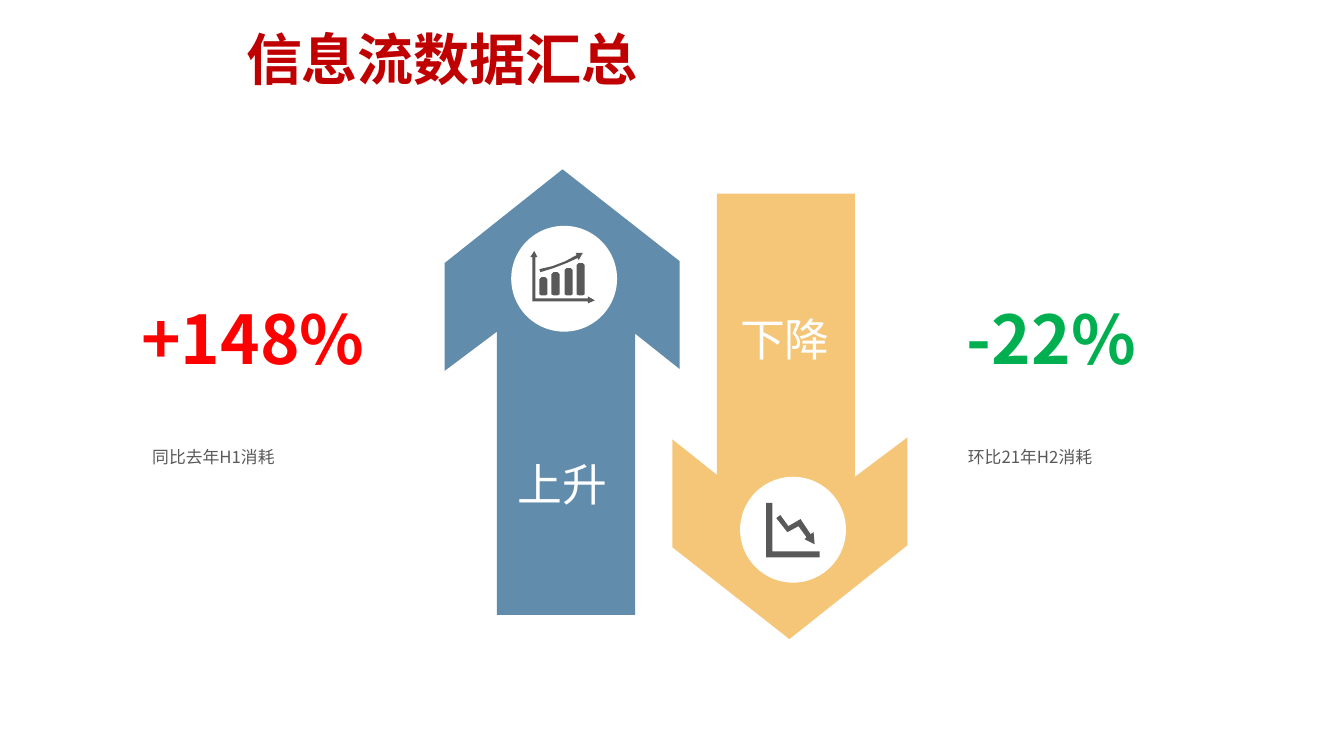
from dataclasses import dataclass

from pptx import Presentation
from pptx.dml.color import RGBColor
from pptx.enum.shapes import MSO_SHAPE
from pptx.enum.text import MSO_ANCHOR, MSO_AUTO_SIZE, PP_ALIGN

PX = 9144  # 100 px to the inch
OVAL = MSO_SHAPE.OVAL
TOP, MIDDLE = MSO_ANCHOR.TOP, MSO_ANCHOR.MIDDLE
LEFT, CENTER = PP_ALIGN.LEFT, PP_ALIGN.CENTER
GROW, FIXED = MSO_AUTO_SIZE.SHAPE_TO_FIT_TEXT, MSO_AUTO_SIZE.NONE


@dataclass(frozen=True)
class Theme:
    font: str = "Noto Sans CJK SC"
    title: str = "C00000"
    rise: str = "618CAC"
    fall: str = "F6C678"
    white: str = "FFFFFF"
    grey: str = "595959"
    gain: str = "FF0000"
    loss: str = "00B050"
    title_pt: int = 40
    figure_pt: int = 48
    label_pt: int = 32
    note_pt: int = 12


T = Theme()


def paint(sp, color):
    sp.shadow.inherit = False
    sp.fill.solid()
    sp.fill.fore_color.rgb = RGBColor.from_string(color)
    sp.line.fill.background()


def write(sp, text, size, color, bold=False, align=LEFT, spacing=1.0):
    """Fill a text holder with one styled run."""
    tf = sp.text_frame
    tf.word_wrap = True
    p = tf.paragraphs[0]
    p.alignment = align
    p.line_spacing = spacing
    r = p.add_run()
    r.text = text
    r.font.name = T.font
    r.font.size = size * 12700
    r.font.bold = bold
    r.font.color.rgb = RGBColor.from_string(color)
    # East Asian glyphs take their face from a:ea
    r.font._element.get_or_add_latin().addnext(
        r.font._element.makeelement(
            "{http://schemas.openxmlformats.org/drawingml/2006/main}ea",
            {"typeface": T.font}))


prs = Presentation()
prs.slide_width, prs.slide_height = 1333 * PX, 750 * PX
s = prs.slides.add_slide(prs.slide_layouts[5])

title = s.shapes.title
title.left, title.top, title.width, title.height = (
    v * PX for v in (234, 27, 981, 96))
title.text_frame.vertical_anchor = TOP
title.text_frame.auto_size = FIXED
write(title, "信息流数据汇总", T.title_pt, T.title, bold=True, spacing=0.9)

# The falling arrow is the rising one turned by half a circle
rise_arrow = [(674, 259), (558, 168), (441, 261), (441, 368), (493, 329),
              (493, 610), (630, 610), (630, 331), (674, 366)]
fall_arrow = [(1341 - x, 802 - y) for x, y in rise_arrow]

# Rising bars, trend curve and axes
bars = []
for x, top in zip((535, 547, 560, 572), (275, 270, 266, 261)):
    bars.append([(x, top + 2), (x + 2, top), (x + 6, top), (x + 8, top + 2),
                 (x + 8, 292), (x + 6, 293), (x + 2, 293), (x, 292)])
trend = [(536, 270), (549, 266), (562, 261), (573, 256), (574, 258),
         (578, 251), (571, 251), (572, 253), (561, 259), (548, 264),
         (535, 267)]
axes = [(590, 298), (583, 294), (583, 296), (531, 296), (531, 255),
        (533, 255), (530, 249), (526, 255), (528, 255), (528, 299),
        (583, 299), (583, 301)]
rise_icon = bars + [trend, axes]

fall_icon = [
    [(774, 511), (782, 522), (794, 515), (804, 530), (807, 528), (808, 540),
     (798, 535), (800, 533), (792, 522), (781, 528), (770, 514)],
    [(760, 499), (766, 499), (766, 547), (813, 547), (813, 553), (760, 553)],
]

for arrow, color, disc, icon in (
        ([rise_arrow], T.rise, (507, 224), rise_icon),
        ([fall_arrow], T.fall, (734, 473), fall_icon)):
    for outlines, fill in ((arrow, color), (icon, T.grey)):
        if outlines is icon:
            x, y = disc
            paint(s.shapes.add_shape(OVAL, x * PX, y * PX, 105 * PX, 105 * PX),
                  T.white)
        fb = s.shapes.build_freeform(*outlines[0][0], scale=PX)
        fb.add_line_segments(outlines[0][1:], close=True)
        for outline in outlines[1:]:
            fb.move_to(*outline[0])
            fb.add_line_segments(outline[1:], close=True)
        paint(fb.convert_to_shape(), fill)

for box, text, size, color, bold, align, spacing in (
        ((151, 433, 235, 30), "同比去年H1消耗", T.note_pt, T.grey, False, LEFT, 1.5),
        ((140, 294, 251, 81), "+148%", T.figure_pt, T.gain, True, LEFT, 1.0),
        ((960, 433, 235, 30), "环比21年H2消耗", T.note_pt, T.grey, False, LEFT, 1.5),
        ((959, 294, 217, 81), "-22%", T.figure_pt, T.loss, True, LEFT, 1.0),
        ((503, 453, 109, 54), "上升", T.label_pt, T.white, False, CENTER, 1.0),
        ((724, 309, 109, 54), "下降", T.label_pt, T.white, False, CENTER, 1.0)):
    sp = s.shapes.add_textbox(*(v * PX for v in box))
    tf = sp.text_frame
    tf.margin_left = tf.margin_right = tf.margin_top = tf.margin_bottom = 0
    tf.vertical_anchor = MIDDLE
    tf.auto_size = GROW
    write(sp, text, size, color, bold, align, spacing)

prs.save("out.pptx")
